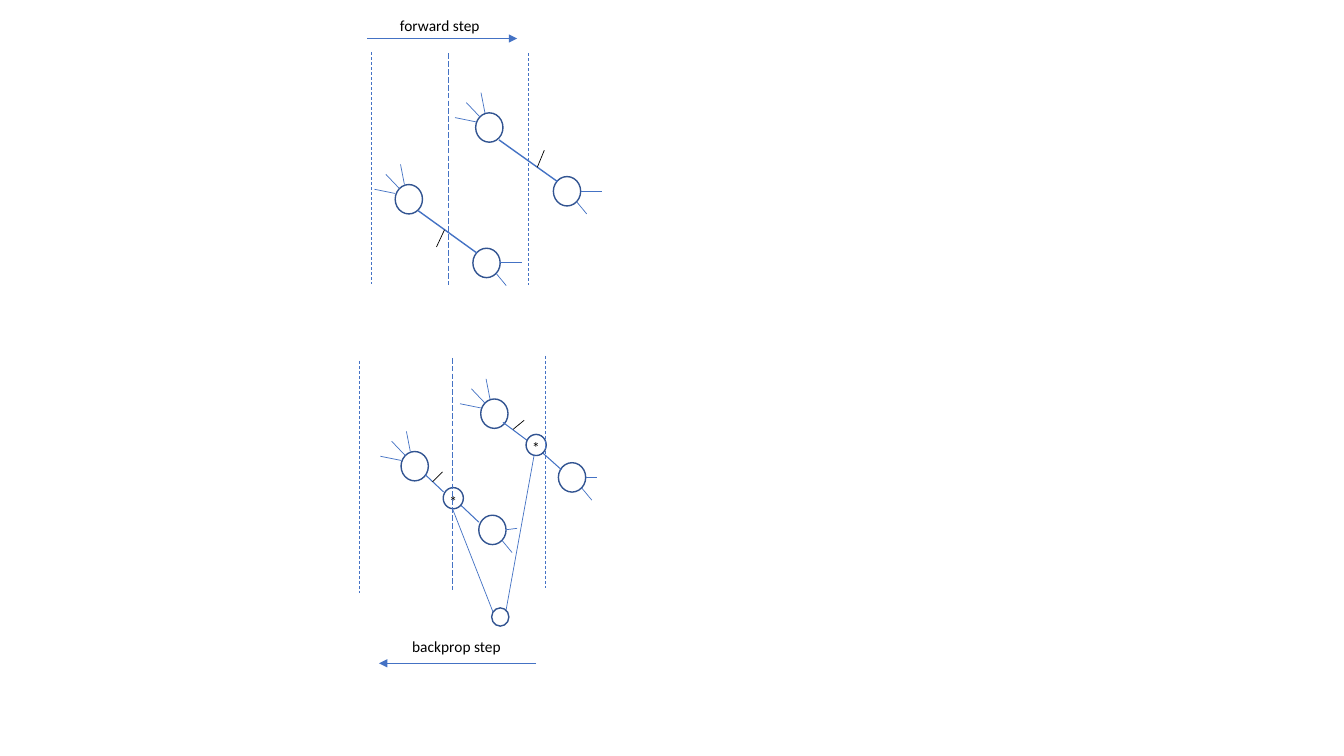
from pptx import Presentation
from pptx.dml.color import RGBColor
from pptx.enum.dml import MSO_LINE
from pptx.enum.shapes import MSO_CONNECTOR, MSO_SHAPE
from pptx.enum.text import MSO_AUTO_SIZE
from pptx.oxml.ns import qn
from pptx.util import Pt
from lxml import etree

BLUE = RGBColor(0x44, 0x72, 0xC4)
NAVY = RGBColor(0x32, 0x54, 0x91)
BLACK = RGBColor(0, 0, 0)
STRAIGHT = MSO_CONNECTOR.STRAIGHT
OVAL = MSO_SHAPE.OVAL
DASH = MSO_LINE.DASH
LONG_DASH = MSO_LINE.LONG_DASH
GROW = MSO_AUTO_SIZE.SHAPE_TO_FIT_TEXT

NEURON = (19.5, 21)
MULTIPLIER = (14.4, 15.1)
LOSS = (12.3, 13)
TARGET_OFFSET = (55.5, 45.5)
DENDRITES = [(6.6, 0, 3.8, -14.4), (3, 2.9, -6.7, -7.3), (0, 6.4, -14.8, 3.4)]
BRANCH = (16.6, 18, 23.8, 26.7)
AXON_START = (19.5, 10.4)
BOUNDARY_HEIGHT = 165.6

STEPS = [
    {
        "label": ("forward step", 278.6, 7.9, 72.7),
        "arrow": (262.4, 27.5, 369.4, 27.5),
        "pairs": [(282.3, 131.8), (339.8, 80.6)],
        "axon_ends": [(35, 10.4), (35, 10.4)],
        "links": [(298.8, 150.6, 340.6, 180.7), (356.4, 99.9, 398.2, 129.7)],
        "link_width": 1,
        "boundaries": [(265.4, 37.5, DASH), (320.4, 38.2, LONG_DASH), (377.3, 38.2, DASH)],
        "ticks": [(311.8, 176.4, 317.5, 164.2), (383.8, 119.5, 388.8, 107.3)],
        "multipliers": [],
        "loss": None,
        "loss_links": [],
    },
    {
        "label": ("backprop step", 287.3, 451.4, 78.5),
        "arrow": (383, 473.8, 270.7, 473.8),
        "pairs": [(286.5, 322.5), (343.4, 285)],
        "axon_ends": [(27.4, 9.4), (27.9, 10.4)],
        "links": [(303.8, 339.1, 316.8, 351.4), (329, 360.7, 342, 373),
                  (359.3, 301.7, 376.6, 314.6), (387.4, 323.3, 401, 335.5)],
        "link_width": 0.75,
        "boundaries": [(256.5, 257.8, DASH), (322.8, 255.6, LONG_DASH), (389.5, 254.2, DASH)],
        "ticks": [(308.9, 344.2, 316.1, 337), (366.5, 306.7, 374.4, 300.2)],
        "multipliers": [(316.6, 348.3, 313.9, 347.8), (375.8, 310.3, 373, 309.6)],
        "loss": (351.2, 434.2),
        "loss_links": [(352.1, 437, 323.3, 363.6), (361.4, 436.3, 381.6, 324.7)],
    },
]


def add_line(shapes, ends, color=BLUE, width=0.5, dash=None, arrow=False):
    s = shapes.add_connector(STRAIGHT, *[Pt(v) for v in ends])
    for name, value in {"width": Pt(width), "dash_style": dash}.items():
        setattr(s.line, name, value)
    s.line.color.rgb = color
    if arrow:
        etree.SubElement(s.line._get_or_add_ln(), qn("a:tailEnd"), type="triangle")
    etree.SubElement(s._element.spPr, qn("a:effectLst"))


def add_circle(shapes, x, y, size):
    s = shapes.add_shape(OVAL, *[Pt(v) for v in (x, y, *size)])
    s.shadow.inherit = False
    s.fill.background()
    s.line.color.rgb = NAVY
    s.line.width = Pt(1)


def add_text(shapes, text, x, y, width, wrap):
    tf = shapes.add_textbox(*[Pt(v) for v in (x, y, width, 20.6)]).text_frame
    for name, value in {"word_wrap": wrap, "auto_size": GROW}.items():
        setattr(tf, name, value)
    r = tf.paragraphs[0].add_run()
    r.text = text
    for name, value in {"name": "Calibri", "size": Pt(11)}.items():
        setattr(r.font, name, value)
    r.font.color.rgb = BLACK


def shifted(ends, x, y):
    x1, y1, x2, y2 = ends
    return x1 + x, y1 + y, x2 + x, y2 + y


def add_pair(shapes, x, y, axon_end):
    tx, ty = x + TARGET_OFFSET[0], y + TARGET_OFFSET[1]
    add_circle(shapes, x, y, NEURON)
    add_circle(shapes, tx, ty, NEURON)
    for dendrite in DENDRITES:
        add_line(shapes, shifted(dendrite, x, y))
    for branch in (AXON_START + axon_end, BRANCH):
        add_line(shapes, shifted(branch, tx, ty))


def add_step(shapes, step):
    add_text(shapes, *step["label"], wrap=False)
    add_line(shapes, step["arrow"], arrow=True)
    for (x, y), axon_end in zip(step["pairs"], step["axon_ends"]):
        add_pair(shapes, x, y, axon_end)
    for link in step["links"]:
        add_line(shapes, link, width=step["link_width"])
    for x, y, text_x, text_y in step["multipliers"]:
        add_circle(shapes, x, y, MULTIPLIER)
        add_text(shapes, "*", text_x, text_y, 17.3, wrap=True)
    for link in step["loss_links"]:
        add_line(shapes, link)
    if step["loss"]:
        add_circle(shapes, *step["loss"], LOSS)
    for x, y, dash in step["boundaries"]:
        add_line(shapes, (x, y, x, y + BOUNDARY_HEIGHT), dash=dash)
    for tick in step["ticks"]:
        add_line(shapes, tick, color=BLACK)


def main():
    prs = Presentation()
    prs.slide_width, prs.slide_height = Pt(960), Pt(540)
    slide = prs.slides.add_slide(prs.slide_layouts[6])
    for step in STEPS:
        add_step(slide.shapes.add_group_shape().shapes, step)
    prs.save("out.pptx")


if __name__ == "__main__":
    main()
